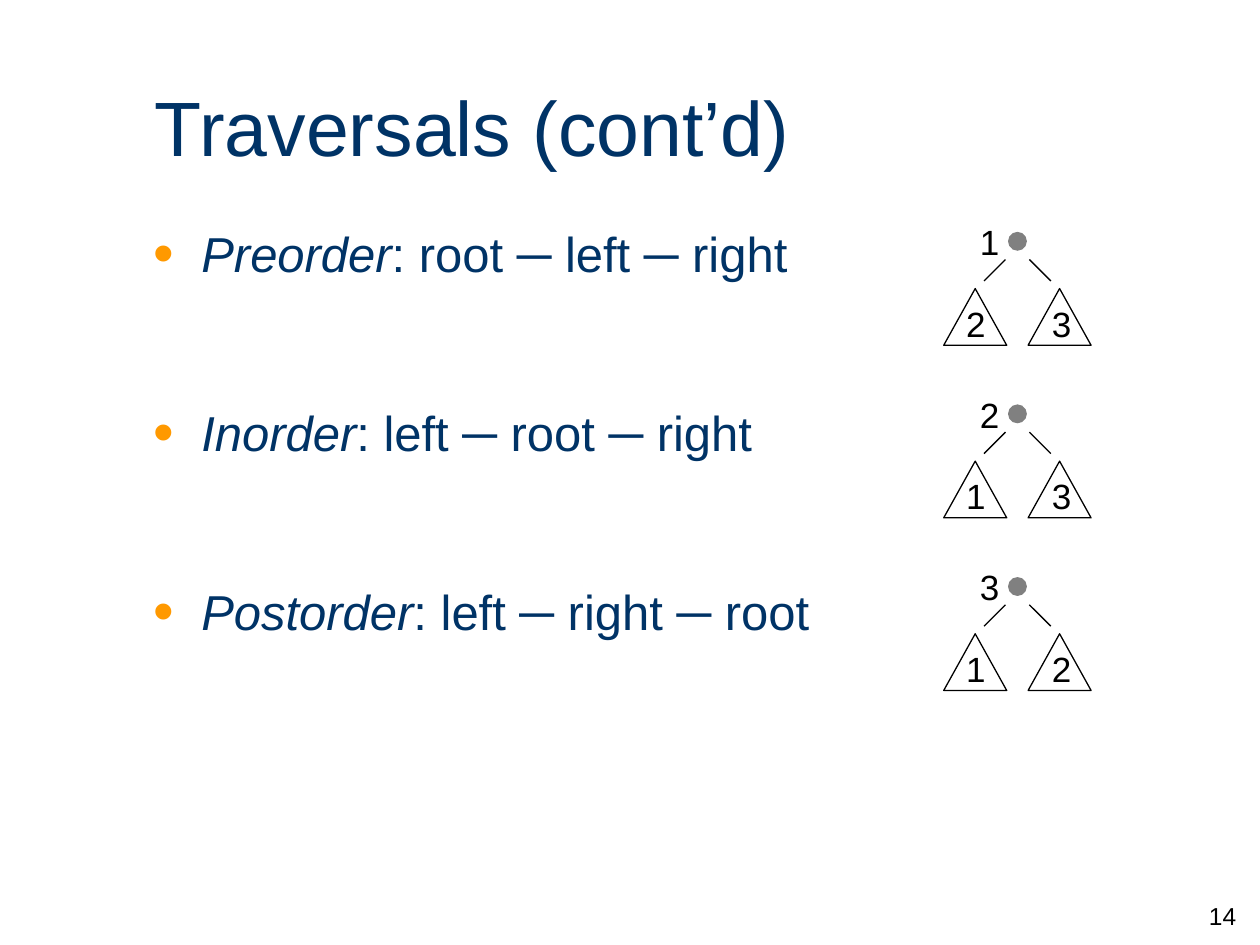
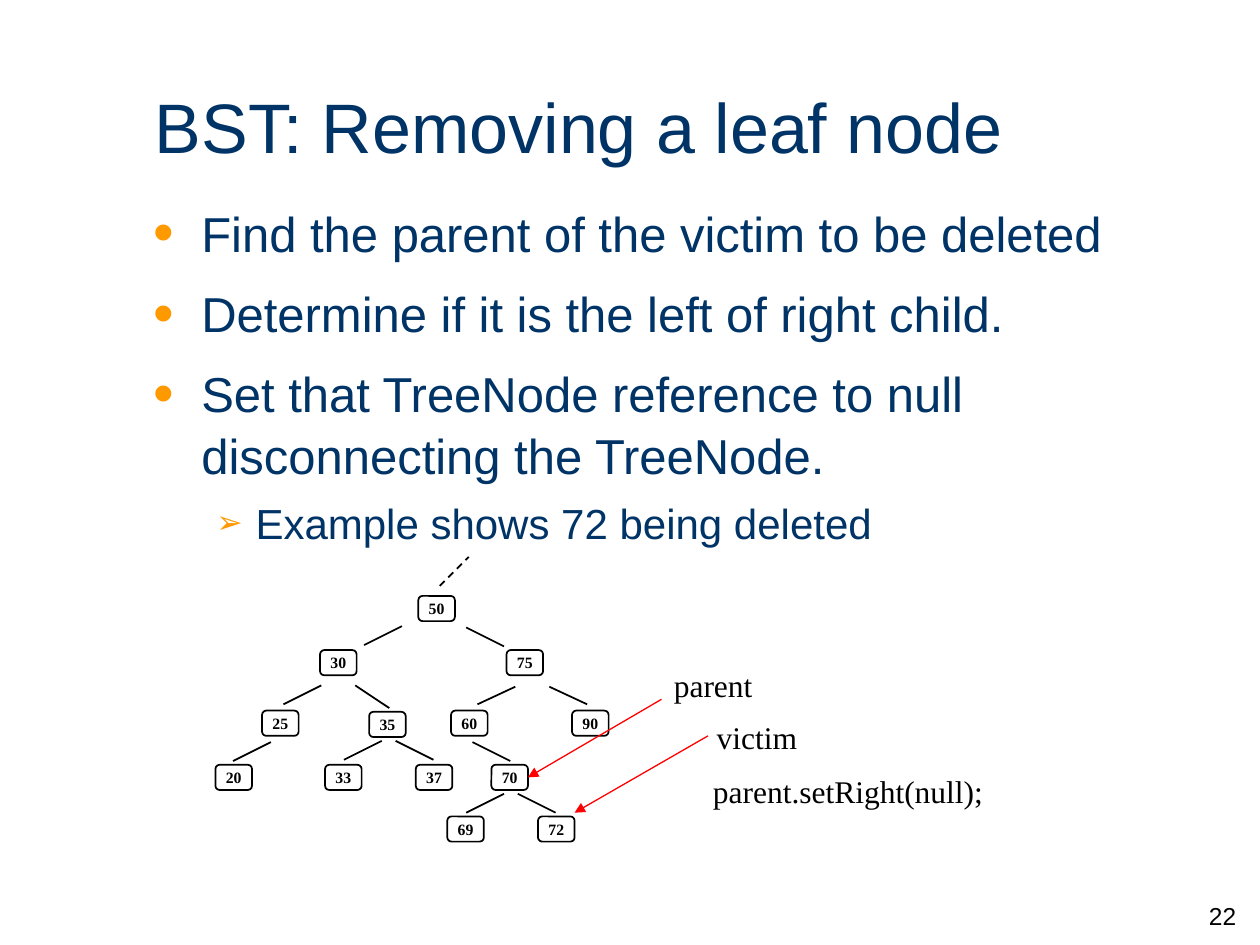
from dataclasses import dataclass

from lxml import etree
from pptx import Presentation
from pptx import util as u
from pptx.dml.color import RGBColor
from pptx.enum import dml, shapes, text
from pptx.oxml.ns import qn

PX = 9144  # EMU, so that 100 px make an inch


@dataclass(frozen=True)
class Theme:
    navy: str = "003366"
    orange: str = "FF9900"
    grey: str = "808080"
    black: str = "000000"
    white: str = "FFFFFF"
    red: str = "FF0000"
    sans: str = "Arial"
    serif: str = "Times New Roman"
    title: int = 44
    long_title: int = 40
    body: int = 28
    detail: int = 24
    digit: int = 20
    label: int = 18
    number: int = 14
    node: int = 9
    thin: float = 0.75
    edge: float = 1


THEME = Theme()


def px(*lengths):
    return [u.Emu(length * PX) for length in lengths]


def rgb(color):
    return RGBColor.from_string(color)


def write(paragraph, content, lead="", size=THEME.body, font=THEME.sans,
          color=THEME.navy, bold=False, align=text.PP_ALIGN.LEFT):
    """Fill a paragraph; lead is set in italics, a newline breaks the line."""
    paragraph.alignment = align
    pieces = [(lead, True)] if lead else []
    pieces += [(line, False) for line in content.split("\n")]
    for index, (piece, italic) in enumerate(pieces):
        if index and not pieces[index - 1][1]:
            paragraph.add_line_break()
        run = paragraph.add_run()
        run.text = piece
        run.font.size, run.font.name = u.Pt(size), font
        run.font.bold, run.font.italic = bold, italic
        run.font.color.rgb = rgb(color)


def add_bullet(paragraph, symbol, percent, left, hanging):
    properties = paragraph._p.get_or_add_pPr()
    properties.set("marL", str(left * PX))
    properties.set("indent", str(-hanging * PX))
    color = etree.SubElement(properties, qn("a:buClr"))
    etree.SubElement(color, qn("a:srgbClr"), val=THEME.orange)
    etree.SubElement(properties, qn("a:buSzPct"), val=str(percent * 1000))
    etree.SubElement(properties, qn("a:buFont"), typeface=THEME.sans)
    etree.SubElement(properties, qn("a:buChar"), char=symbol)


class Deck:
    def __init__(self):
        self.presentation = Presentation()
        self.presentation.slide_width, self.presentation.slide_height = px(1000, 750)
        self.slide = None

    def start_slide(self, title, number, size=THEME.title):
        layout = self.presentation.slide_layouts[5]
        self.slide = self.presentation.slides.add_slide(layout)
        shape = self.slide.shapes.title
        shape.left, shape.top, shape.width, shape.height = px(113, 53, 850, 94)
        frame = shape.text_frame
        frame.vertical_anchor = text.MSO_ANCHOR.MIDDLE
        frame.auto_size = text.MSO_AUTO_SIZE.NONE
        write(frame.paragraphs[0], title, size=size)
        self.label(number, 783, 710, 208, 50, size=THEME.number,
                   align=text.PP_ALIGN.RIGHT)

    def text_box(self, left, top, width, height):
        frame = self.slide.shapes.add_textbox(*px(left, top, width, height)).text_frame
        frame.word_wrap = True
        return frame

    def label(self, content, left, top, width, height, **style):
        frame = self.text_box(left, top, width, height)
        write(frame.paragraphs[0], content, color=THEME.black, **style)

    def bullets(self, top, items, gap):
        """Items are (lead, content, level); gap is the space before level 0."""
        frame = self.text_box(112, top, 850, 525)
        for index, (lead, content, level) in enumerate(items):
            paragraph = frame.add_paragraph() if index else frame.paragraphs[0]
            paragraph.level = level
            paragraph.line_spacing = 1.05
            if index:
                paragraph.space_before = u.Pt(6 if level else gap)
            if level:
                add_bullet(paragraph, "➢", 75, 81, 31)
            else:
                add_bullet(paragraph, "•", 120, 38, 38)
            write(paragraph, content, lead, size=THEME.detail if level else THEME.body)

    def shape(self, kind, left, top, width, height, fill=None, line=None):
        shape = self.slide.shapes.add_shape(kind, *px(left, top, width, height))
        shape.shadow.inherit = False
        if fill:
            shape.fill.solid()
            shape.fill.fore_color.rgb = rgb(fill)
        else:
            shape.fill.background()
        if line:
            shape.line.color.rgb = rgb(THEME.black)
            shape.line.width = u.Pt(line)
        else:
            shape.line.fill.background()
        return shape

    def line(self, x1, y1, x2, y2, width=THEME.edge, color=THEME.black,
             dashed=False, arrow=False):
        connector = self.slide.shapes.add_connector(
            shapes.MSO_CONNECTOR.STRAIGHT, *px(x1, y1, x2, y2))
        connector.line.color.rgb = rgb(color)
        connector.line.width = u.Pt(width)
        if dashed:
            connector.line.dash_style = dml.MSO_LINE.DASH
        if arrow:
            etree.SubElement(connector.line._get_or_add_ln(), qn("a:tailEnd"),
                             type="triangle")
        etree.SubElement(connector._element.spPr, qn("a:effectLst"))
        return connector

    def node(self, value, left, top):
        box = self.shape(shapes.MSO_SHAPE.ROUNDED_RECTANGLE, left, top, 29, 20,
                         line=THEME.edge)
        frame = box.text_frame
        frame.margin_left, frame.margin_top, frame.margin_right, frame.margin_bottom = px(1, 1, 1, 1)
        frame.vertical_anchor = text.MSO_ANCHOR.MIDDLE
        write(frame.paragraphs[0], str(value), size=THEME.node, font=THEME.serif,
              color=THEME.black, bold=True, align=text.PP_ALIGN.CENTER)
        return box

    def visit_order(self, top, root, left, right):
        """Draw a root over two subtrees, each with its place in the order."""
        self.shape(shapes.MSO_SHAPE.OVAL, 800, top, 15, 15, fill=THEME.grey)
        for x in (749, 816):
            self.shape(shapes.MSO_SHAPE.ISOSCELES_TRIANGLE, x, top + 45, 50, 45,
                       fill=THEME.white, line=THEME.thin)
        for start, end in ((798, 781), (817, 834)):
            self.line(start, top + 22, end, top + 39, width=THEME.thin)
        for digit, x, y in ((root, 761, -14), (left, 750, 51), (right, 818, 51)):
            self.label(digit, x, top + y, 49, 44, size=THEME.digit,
                       align=text.PP_ALIGN.CENTER)


def build_traversals(deck):
    deck.start_slide("Traversals (cont’d)", "14")
    deck.bullets(170, [
        ("Preorder", ": root ─ left ─ right", 0),
        ("Inorder", ": left ─ root ─ right", 0),
        ("Postorder", ": left ─ right ─ root", 0),
    ], gap=67)
    for row, order in enumerate(("123", "213", "312")):
        deck.visit_order(184 + 137 * row, *order)


def build_leaf_removal(deck):
    deck.start_slide("BST: Removing a leaf node", "22", size=THEME.long_title)
    deck.bullets(154, [
        ("", "Find the parent of the victim to be deleted", 0),
        ("", "Determine if it is the left of right child.", 0),
        ("", "Set that TreeNode reference to null\ndisconnecting the TreeNode.", 0),
        ("", "Example shows 72 being deleted", 1),
    ], gap=10.5)

    places = {
        50: (332, 473),
        30: (254, 516), 75: (402, 516),
        25: (208, 564), 35: (293, 565), 60: (358, 564), 90: (454, 564),
        20: (171, 607), 33: (258, 607), 37: (330, 607), 70: (390, 607),
        69: (355, 648), 72: (427, 648),
    }
    nodes = {value: deck.node(value, *place) for value, place in places.items()}

    branches = [
        (319, 497, 289, 512), (370, 498, 400, 513),
        (255, 544, 225, 559), (282, 544, 309, 562),
        (409, 545, 379, 559), (436, 545, 466, 559),
        (215, 589, 185, 604), (303, 588, 273, 603), (314, 588, 344, 603),
        (375, 589, 405, 604), (400, 630, 370, 645), (411, 630, 441, 645),
    ]
    for branch in branches:
        deck.line(*branch)
    deck.line(349, 465, 372, 442, dashed=True)

    pointer = {"width": THEME.thin, "color": THEME.red, "arrow": True}
    deck.line(525, 555, 419, 617, **pointer).end_connect(nodes[70], 3)
    deck.line(562, 584, 456, 645, **pointer)

    for content, left, top, width in (("parent", 525, 524, 104),
                                      ("victim", 559, 565, 104),
                                      ("parent.setRight(null);", 556, 608, 402)):
        deck.label(content, left, top, width, 40, size=THEME.label, font=THEME.serif)


def main():
    deck = Deck()
    build_traversals(deck)
    build_leaf_removal(deck)
    deck.presentation.save("out.pptx")


if __name__ == "__main__":
    main()
